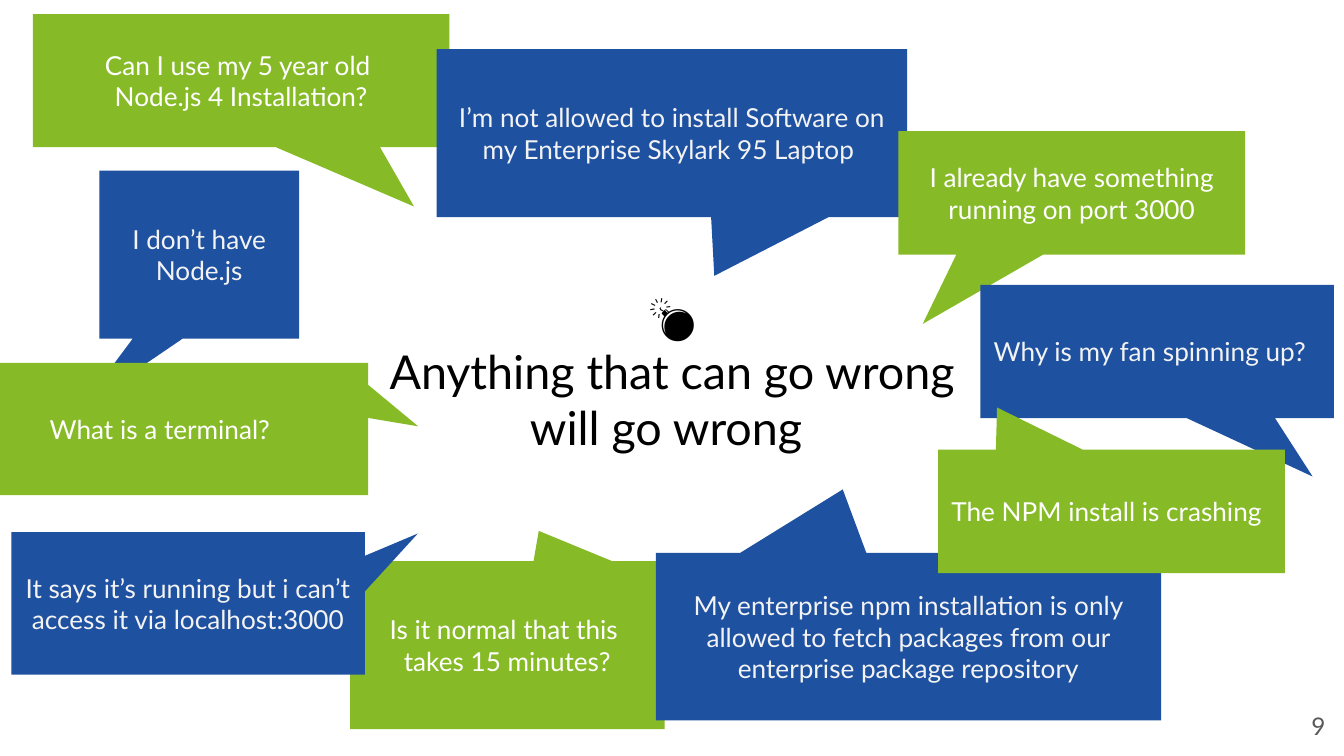
from dataclasses import dataclass

from pptx import Presentation
from pptx.dml import color
from pptx.enum import shapes, text
from pptx.util import Pt

EMU_PER_PX = 4572
SLIDE_SIZE = (2000, 1125)
INSET = 20
CENTER = text.PP_ALIGN.CENTER
LEFT = text.PP_ALIGN.LEFT
RIGHT = text.PP_ALIGN.RIGHT


@dataclass(frozen=True)
class Theme:
    font: str = "Lato"
    green: str = "86BB27"
    blue: str = "1F51A1"
    on_green: str = "FFFFFF"
    on_blue: str = "F3F3F3"
    title: str = "000000"
    number: str = "595959"
    title_size: int = 25
    body_size: int = 14
    number_size: int = 13


THEME = Theme()
GREEN = (THEME.green, THEME.on_green)
BLUE = (THEME.blue, THEME.on_blue)

TITLE = "💣\nAnything that can go wrong\nwill go wrong "

CALLOUTS = [
    ((49, 21, 620, 198), (0.415, 0.946), GREEN, CENTER,
     "Can I use my 5 year old \nNode.js 4 Installation?"),
    ((148, 254, 297, 250), (-0.59, 0.91), BLUE, CENTER,
     "I don’t have Node.js"),
    ((650, 73, 700, 250), (0.09, 0.85), BLUE, CENTER,
     "I’m not allowed to install Software on my Enterprise Skylark 95 Laptop "),
    ((1337, 195, 516, 184), (-0.43, 1.06), GREEN, CENTER,
     "I already have something running on port 3000"),
    ((521, 835, 468, 250), (0.1, -0.68), GREEN, CENTER,
     "Is it normal that this \ntakes 15 minutes?"),
    ((1459, 424, 526, 198), (0.44, 0.94), BLUE, LEFT,
     "Why is my fan spinning up?"),
    ((976, 823, 752, 249), (-0.13, -0.88), BLUE, CENTER,
     "My enterprise npm installation is only allowed to fetch packages "
     "from our enterprise package repository"),
    ((1396, 669, 516, 184), (-0.33, -0.84), GREEN, LEFT,
     "The NPM install is crashing"),
    ((-72, 540, 620, 197), (0.62, -0.02), GREEN, CENTER,
     "What is a terminal?"),
    ((17, 792, 526, 212), (0.65, -0.49), BLUE, CENTER,
     "It says it’s running but i can’t access it via localhost:3000"),
]


def px(*lengths):
    return [length * EMU_PER_PX for length in lengths]


def rgb(value):
    return color.RGBColor.from_string(value)


def write_text(shape, wording, size, ink, align, anchor):
    frame = shape.text_frame
    frame.word_wrap = True
    frame.auto_size = text.MSO_AUTO_SIZE.NONE
    frame.vertical_anchor = anchor
    (frame.margin_left, frame.margin_top,
     frame.margin_right, frame.margin_bottom) = px(*[INSET] * 4)
    paragraph = frame.paragraphs[0]
    paragraph.alignment = align
    for index, line in enumerate(wording.split("\n")):
        if index:
            paragraph.add_line_break()
        run = paragraph.add_run()
        run.text = line
        run.font.name = THEME.font
        run.font.size = Pt(size)
        run.font.color.rgb = rgb(ink)


def add_callout(slide, box, tip, colors, align, wording):
    fill, ink = colors
    shape = slide.shapes.add_shape(
        shapes.MSO_SHAPE.RECTANGULAR_CALLOUT, *px(*box))
    shape.shadow.inherit = False
    shape.adjustments[0], shape.adjustments[1] = tip
    shape.fill.solid()
    shape.fill.fore_color.rgb = rgb(fill)
    shape.line.fill.background()
    write_text(shape, wording, THEME.body_size, ink, align,
               text.MSO_ANCHOR.MIDDLE)


def add_label(slide, box, wording, size, ink, align, anchor):
    shape = slide.shapes.add_textbox(*px(*box))
    write_text(shape, wording, size, ink, align, anchor)


def main():
    presentation = Presentation()
    presentation.slide_width, presentation.slide_height = px(*SLIDE_SIZE)
    slide = presentation.slides.add_slide(presentation.slide_layouts[6])
    add_label(slide, (68, 460, 1864, 184), TITLE, THEME.title_size,
              THEME.title, CENTER, text.MSO_ANCHOR.MIDDLE)
    for callout in CALLOUTS:
        add_callout(slide, *callout)
    add_label(slide, (1872, 1038, 120, 86), "9", THEME.number_size,
              THEME.number, RIGHT, text.MSO_ANCHOR.TOP)
    presentation.save("out.pptx")


if __name__ == "__main__":
    main()
